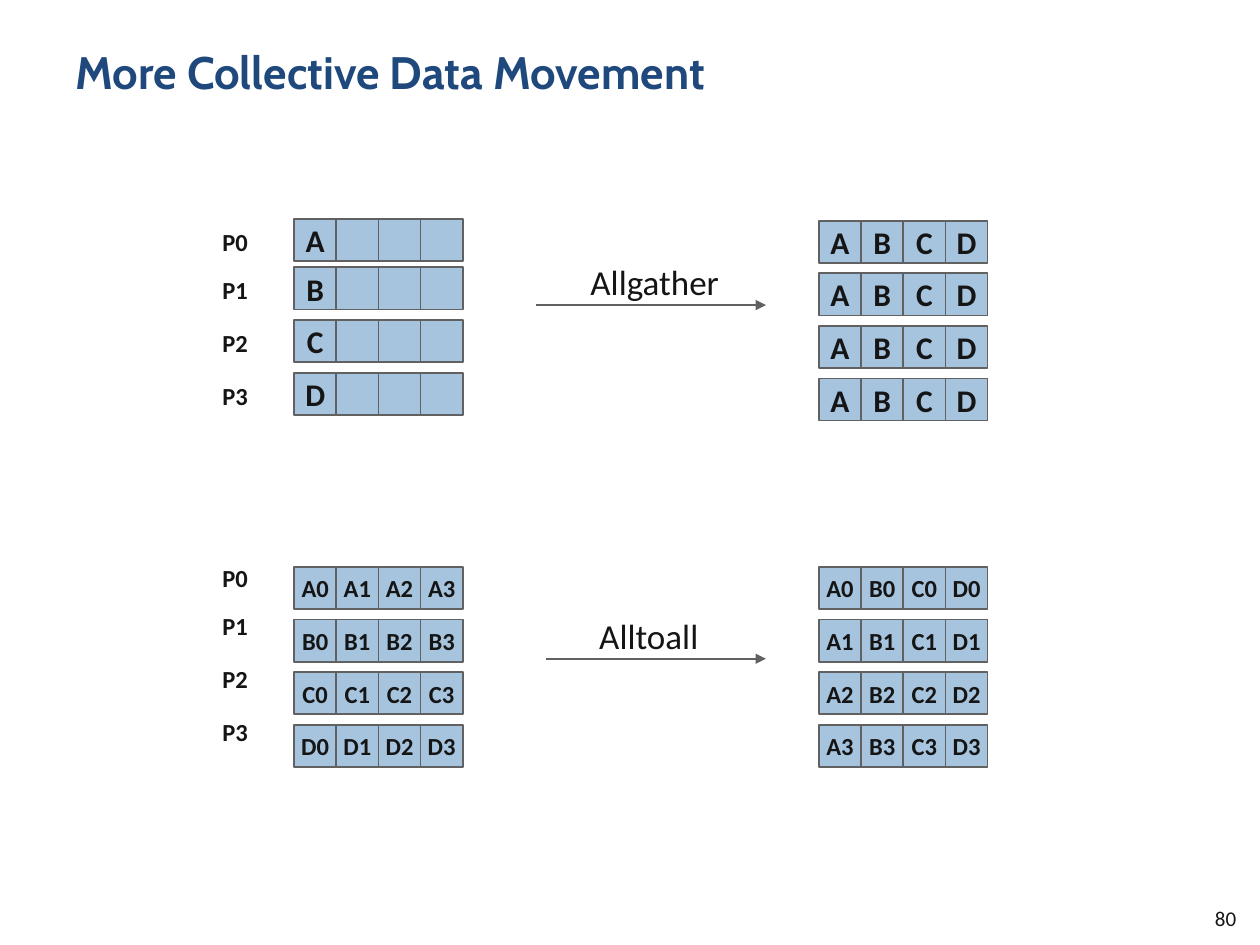
from dataclasses import dataclass
from typing import NamedTuple

from lxml import etree
from pptx import Presentation
from pptx import util as u
from pptx.dml.color import RGBColor
from pptx.enum import shapes, text
from pptx.oxml import ns


@dataclass(frozen=True)
class Theme:
    title: str = "1F497D"
    ink: str = "151515"
    cell: str = "A6C4DE"
    line: str = "616161"
    title_font: str = "Cabin"
    body_font: str = "Calibri"
    title_size: int = 26
    caption_size: int = 20
    letter_size: int = 18
    label_size: int = 14
    number_size: int = 12


class Box(NamedTuple):
    left: float
    top: float
    width: float
    height: float

    def inside(self, left, top, width, height):
        return Box(self.left + left, self.top + top, width, height)

    def lengths(self):
        return [u.Cm(value) for value in self]


THEME = Theme()
CELL = 0.85
EVEN_ROWS = [0, 1.06, 2.12, 3.18]
LOOSE_ROWS = [0, 0.97, 2.03, 3.1]
LETTERS = "ABCD"


def write(shape, words, size, font=THEME.body_font, color=THEME.ink, bold=False,
          align=text.PP_ALIGN.CENTER, anchor=text.MSO_ANCHOR.TOP, wrap=False,
          grow=False):
    frame = shape.text_frame
    frame.word_wrap = wrap
    frame.vertical_anchor = anchor
    if grow:
        frame.auto_size = text.MSO_AUTO_SIZE.SHAPE_TO_FIT_TEXT
    para = frame.paragraphs[0]
    para.alignment = align
    span = para.add_run()
    span.text = words
    span.font.size = u.Pt(size)
    span.font.name = font
    span.font.bold = bold
    span.font.color.rgb = RGBColor.from_string(color)


def add_text(page, box, words, size, **style):
    write(page.shapes.add_textbox(*box.lengths()), words, size, **style)


def add_cell(page, box, words, size):
    cell = page.shapes.add_shape(shapes.MSO_SHAPE.RECTANGLE, *box.lengths())
    cell.shadow.inherit = False
    cell.fill.solid()
    cell.fill.fore_color.rgb = RGBColor.from_string(THEME.cell)
    cell.line.color.rgb = RGBColor.from_string(THEME.line)
    cell.line.width = u.Pt(1)
    if words:
        write(cell, words, size, bold=True, anchor=text.MSO_ANCHOR.MIDDLE)


def add_grid(page, box, rows, offsets, size):
    for row, offset in zip(rows, offsets):
        for column, words in enumerate(row):
            add_cell(page, box.inside(column * CELL, offset, CELL, CELL), words, size)


def add_labels(page, box):
    for index, offset in enumerate(LOOSE_ROWS):
        add_text(page, box.inside(0, offset, box.width, 0.86), f"P{index}",
                 THEME.label_size, bold=True, grow=True)


def add_arrow(page, box):
    left, top, width, _ = box.lengths()
    arrow = page.shapes.add_connector(
        shapes.MSO_CONNECTOR.STRAIGHT, left, top, left + width, top)
    arrow.line.color.rgb = RGBColor.from_string(THEME.line)
    arrow.line.width = u.Pt(1)
    etree.SubElement(arrow.line._get_or_add_ln(), ns.qn("a:tailEnd"), type="triangle")
    etree.SubElement(arrow._element.spPr, ns.qn("a:effectLst"))


def add_operation(page, box, name, before, after, size, before_offsets,
                  label_shift, after_shift, arrow, caption):
    grid_width = 4 * CELL
    add_labels(page, box.inside(0, label_shift, 1.04, box.height))
    add_grid(page, box.inside(1.71, 0, grid_width, box.height),
             before, before_offsets, size)
    add_grid(page, box.inside(12.29, after_shift, grid_width, box.height),
             after, EVEN_ROWS, size)
    add_arrow(page, box.inside(*arrow))
    add_text(page, box.inside(*caption), name, THEME.caption_size, grow=True)


def add_title(page, box, words):
    add_text(page, box, words, THEME.title_size, font=THEME.title_font,
             color=THEME.title, bold=True, align=text.PP_ALIGN.LEFT, wrap=True)


def add_page_number(page, box, number):
    add_text(page, box, number, THEME.number_size, align=text.PP_ALIGN.RIGHT,
             anchor=text.MSO_ANCHOR.MIDDLE, wrap=True)


def main():
    deck = Presentation()
    deck.slide_width, deck.slide_height = u.Cm(25.4), u.Cm(19.05)
    page = deck.slides.add_slide(deck.slide_layouts[6])

    add_title(page, Box(1.27, 0.76, 22.86, 2.21), "More Collective Data Movement")
    add_operation(
        page, Box(4.22, 4.42, 15.68, 4.03), "Allgather",
        before=[[letter, "", "", ""] for letter in LETTERS],
        after=[LETTERS] * 4,
        size=THEME.letter_size, before_offsets=LOOSE_ROWS,
        label_shift=0.03, after_shift=0.03,
        arrow=(6.58, 1.73, 4.64, 0), caption=(7.39, 0.71, 3.18, 1.1))

    blocks = [[f"{letter}{index}" for index in range(4)] for letter in LETTERS]
    add_operation(
        page, Box(4.22, 11.43, 15.68, 4.03), "Alltoall",
        before=blocks, after=list(zip(*blocks)),
        size=THEME.label_size, before_offsets=EVEN_ROWS,
        label_shift=-0.2, after_shift=0,
        arrow=(6.78, 1.85, 4.44, 0), caption=(7.59, 0.84, 2.54, 1.1))
    add_page_number(page, Box(22.43, 18.16, 2.74, 0.69), "80")

    deck.save("out.pptx")


if __name__ == "__main__":
    main()
